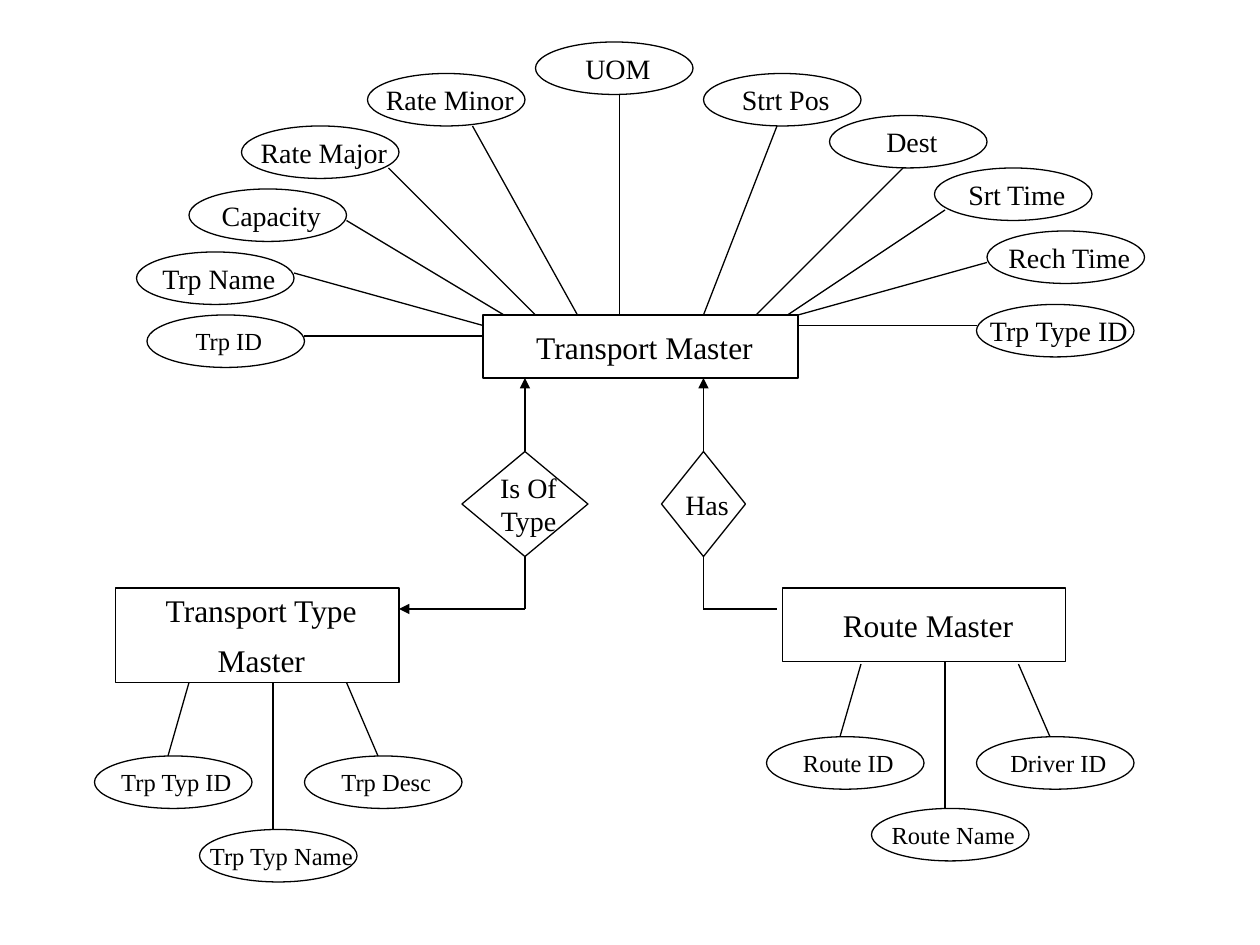
from lxml import etree
from pptx import Presentation
from pptx.dml.color import RGBColor
from pptx.enum.shapes import MSO_CONNECTOR, MSO_SHAPE
from pptx.enum.text import MSO_ANCHOR, PP_ALIGN
from pptx.oxml.ns import qn
from pptx.util import Pt

BLACK = RGBColor(0, 0, 0)
WHITE = RGBColor(255, 255, 255)
RECTANGLE, OVAL, DIAMOND = MSO_SHAPE.RECTANGLE, MSO_SHAPE.OVAL, MSO_SHAPE.DIAMOND
STRAIGHT = MSO_CONNECTOR.STRAIGHT
CENTER, MIDDLE = PP_ALIGN.CENTER, MSO_ANCHOR.MIDDLE
FONT = "Times New Roman"
TOP, BOTTOM = 0, 2
LINE_GAP = 7

# lines of text, left, top, width, height
ENTITIES = [
    (["Transport Master"], 276, 180, 180, 36),
    (["Transport Type", "Master"], 66, 336, 162, 54),
    (["Route Master"], 447, 336, 162, 42),
]

# lines of text, left, top, width, height, arrow tip, elbow, far end, arrow at far end
RELATIONSHIPS = [
    (["Is Of", "Type"], 264, 258, 72, 60, (300, 216), (300, 348), (228, 348), True),
    (["Has"], 378, 258, 48, 60, (402, 216), (402, 348), (444, 348), False),
]

# text, left, top, text size, line end at the attribute, line end at the entity
ATTRIBUTE_SIZE = (90, 30)
ATTRIBUTES = [
    ("Trp ID", 84, 180, 14, (174, 192), (276, 192)),
    ("Trp Name", 78, 144, 16, (168, 156), (276, 186)),
    ("Capacity", 108, 108, 16, (198, 126), (288, 180)),
    ("Rate Major", 138, 72, 16, (222, 96), (306, 180)),
    ("Rate Minor", 210, 42, 16, (270, 72), (330, 180)),
    ("UOM", 306, 24, 16, (354, 54), (354, 180)),
    ("Strt Pos", 402, 42, 16, (444, 72), (402, 180)),
    ("Dest", 474, 66, 16, (516, 96), (432, 180)),
    ("Srt Time", 534, 96, 16, (540, 120), (450, 180)),
    ("Rech Time", 564, 132, 16, (564, 150), (456, 180)),
    ("Trp Type ID", 558, 174, 16, (558, 186), (456, 186)),
    ("Trp Typ ID", 54, 432, 14, (96, 432), (108, 390)),
    ("Trp Typ Name", 114, 474, 14, (156, 474), (156, 390)),
    ("Trp Desc", 174, 432, 14, (216, 432), (198, 390)),
    ("Route ID", 438, 421, 14, (480, 421), (492, 379.5)),
    ("Route Name", 498, 462, 14, (540, 462), (540, 378)),
    ("Driver ID", 558, 421, 14, (600, 421), (582, 379.5)),
]


def add_node(page, kind, lines, left, top, width, height, size, gap=0):
    node = page.shapes.add_shape(kind, Pt(left), Pt(top), Pt(width), Pt(height))
    node.shadow.inherit = False
    node.fill.solid()
    node.fill.fore_color.rgb = WHITE
    node.line.color.rgb = BLACK
    node.line.width = Pt(0.75)
    frame = node.text_frame
    frame.word_wrap = False
    frame.vertical_anchor = MIDDLE
    frame.margin_left = Pt(7.2 + size / 4)  # labels sit slightly right of centre
    for number, line in enumerate(lines):
        para = frame.paragraphs[0] if number == 0 else frame.add_paragraph()
        para.text = line
        para.alignment = CENTER
        para.font.name = FONT
        para.font.size = Pt(size)
        para.font.color.rgb = BLACK
        if number:
            para.space_before = Pt(gap)
    return node


def add_line(page, start, end, arrow=False):
    line = page.shapes.add_connector(STRAIGHT, *map(Pt, start + end))
    line.line.color.rgb = BLACK
    line.line.width = Pt(0.75)
    if arrow:
        outline = line.line._get_or_add_ln()
        etree.SubElement(outline, qn("a:tailEnd"), type="triangle")
    etree.SubElement(line._element.spPr, qn("a:effectLst"))
    return line


def main():
    deck = Presentation()
    deck.slide_width, deck.slide_height = Pt(720), Pt(540)
    page = deck.slides.add_slide(deck.slide_layouts[6])

    for lines, *place in ENTITIES:
        add_node(page, RECTANGLE, lines, *place, 18, LINE_GAP)

    for text, left, top, size, start, end in ATTRIBUTES:
        add_node(page, OVAL, [text], left, top, *ATTRIBUTE_SIZE, size)
        add_line(page, start, end)

    for lines, left, top, width, height, tip, elbow, far_end, arrow in RELATIONSHIPS:
        diamond = add_node(page, DIAMOND, lines, left, top, width, height, 16)
        middle = left + width / 2
        upper = add_line(page, (middle, top), tip, True)
        upper.begin_connect(diamond, TOP)
        lower = add_line(page, (middle, top + height), elbow)
        lower.begin_connect(diamond, BOTTOM)
        add_line(page, elbow, far_end, arrow)

    deck.save("out.pptx")


if __name__ == "__main__":
    main()
